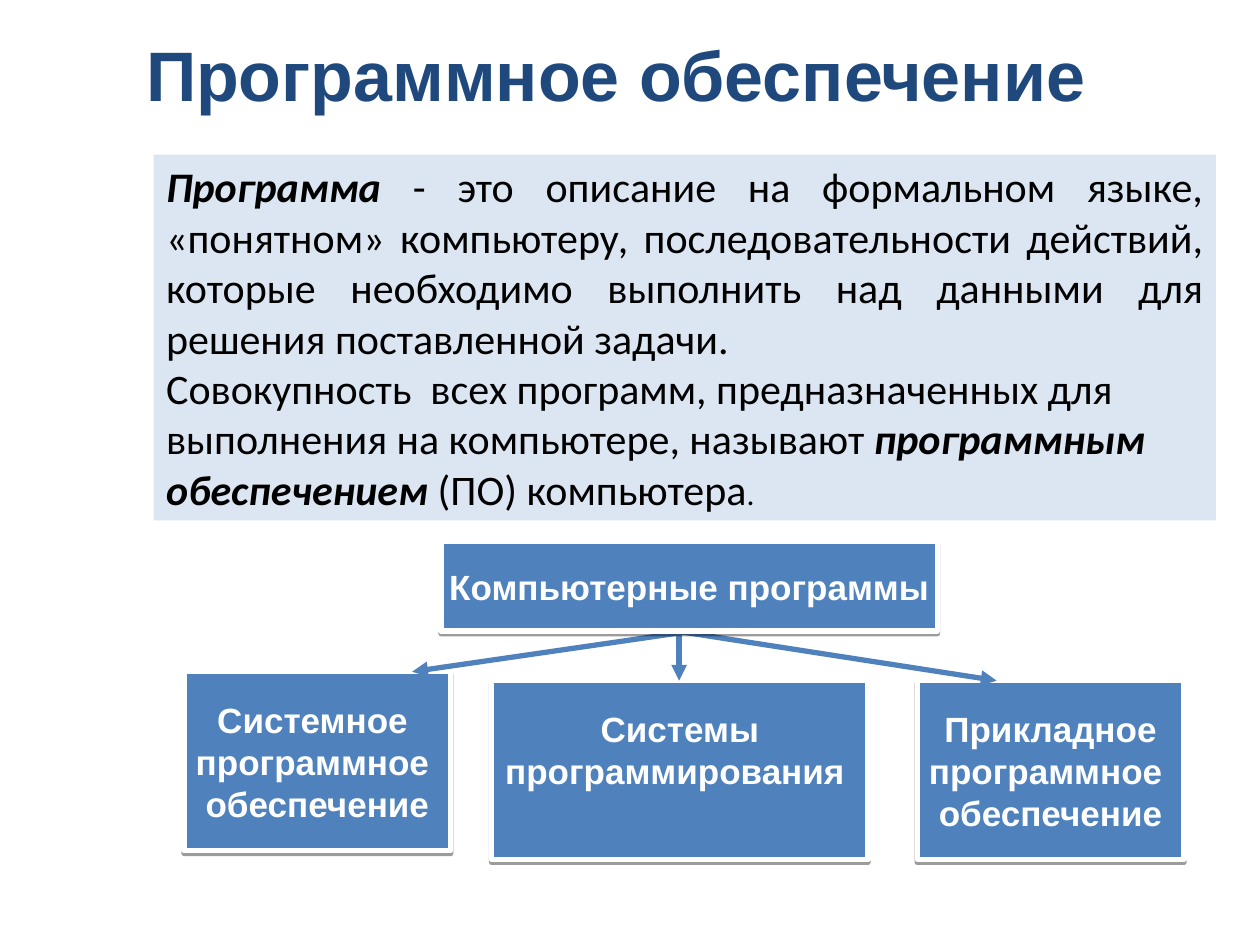
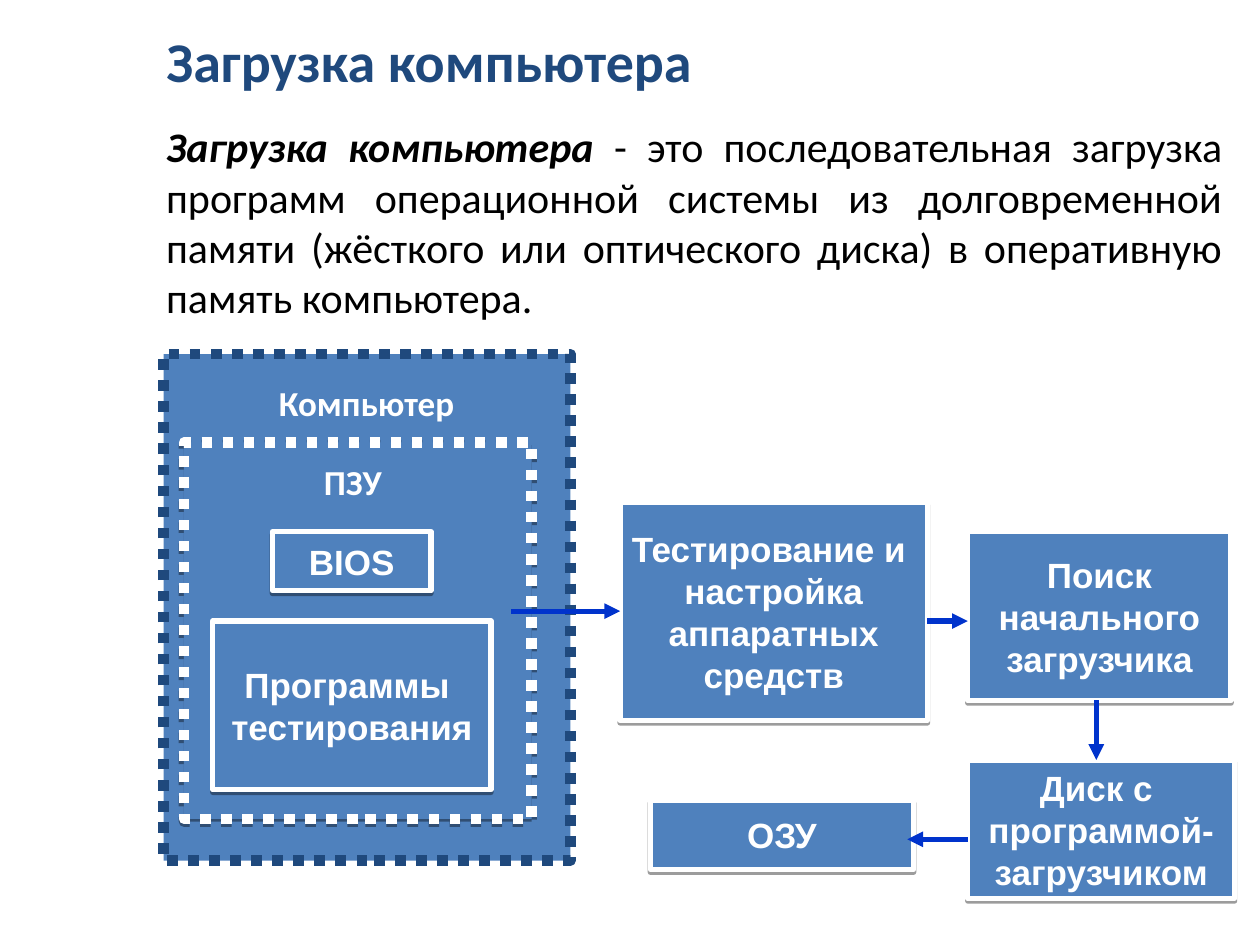
"""Build two slides on computer software and on how a computer starts."""
import pptx
import pptx.dml.color
import pptx.enum.dml
import pptx.enum.shapes
import pptx.enum.text
import pptx.oxml
import pptx.oxml.ns
import pptx.util
from lxml import etree

Cm = pptx.util.Cm
Pt = pptx.util.Pt
rgb = pptx.dml.color.RGBColor.from_string
qn = pptx.oxml.ns.qn
Align = pptx.enum.text.PP_ALIGN
Anchor = pptx.enum.text.MSO_ANCHOR
Kind = pptx.enum.shapes.MSO_SHAPE
Link = pptx.enum.shapes.MSO_CONNECTOR
Dash = pptx.enum.dml.MSO_LINE


class Theme:
    """Colours, fonts and type sizes."""
    navy = "1F497D"
    blue = "4F81BD"
    pale = "DCE6F2"
    arrow = "0033CC"
    white = "FFFFFF"
    black = "000000"
    sans = "Arial"
    text = "Calibri"
    big = 40
    head = 32
    body = 24
    node = 20
    small = 18
    thin = 3
    thick = 6


TERM = {"bold": True, "italic": True}


def dress(item, form):
    """Set each format value on the item."""
    for key, value in form.items():
        setattr(item, key, value)


def font(name, size, **more):
    """Return the format values of a font."""
    return {"name": name, "size": Pt(size), **more}


class Deck:
    """Hold the style, the file and the current slide."""

    def __init__(self, theme):
        self.theme = theme
        self.file = pptx.Presentation()
        dress(self.file, {"slide_width": Cm(25.4), "slide_height": Cm(19.05)})
        self.slide = None

    def start(self, text, box, name, size):
        """Add a slide and set its title."""
        self.slide = self.file.slides.add_slide(self.file.slide_layouts[5])
        title = self.slide.shapes.title
        sides = ("left", "top", "width", "height")
        dress(title, dict(zip(sides, map(Cm, box))))
        self.fill(title, [[(text, {})]], font(name, size, bold=True), self.theme.navy,
                  [{"alignment": Align.LEFT, "line_spacing": 0.8}],
                  vertical_anchor=Anchor.MIDDLE)

    def fill(self, shape, rows, base, ink, forms, **frame):
        """Fill a shape with rows of runs, the last form serving all later rows."""
        body = shape.text_frame
        dress(body, {"word_wrap": True, "auto_size": pptx.enum.text.MSO_AUTO_SIZE.NONE, **frame})
        for num, row in enumerate(rows):
            para = body.add_paragraph() if num else body.paragraphs[0]
            dress(para, forms[min(num, len(forms) - 1)])
            for text, extra in row:
                run = para.add_run()
                run.text = text
                dress(run.font, {**base, **extra})
                run.font.color.rgb = rgb(ink)

    def rect(self, box, fill, line=None, width=0, dash=None, shade=False):
        """Draw a rectangle with an optional outline and shadow."""
        shape = self.slide.shapes.add_shape(Kind.RECTANGLE, *map(Cm, box))
        shape.fill.solid()
        shape.fill.fore_color.rgb = rgb(fill)
        if line:
            shape.line.color.rgb = rgb(line)
            dress(shape.line, {"width": Pt(width), "dash_style": dash})
        else:
            shape.line.fill.background()
        shape.shadow.inherit = False
        if shade:
            glow = shape.element.spPr.find(qn("a:effectLst"))
            drop = etree.SubElement(glow, qn("a:outerShdw"), blurRad="0", dist=str(Pt(1.6)),
                                    dir="5400000", rotWithShape="0")
            tint = etree.SubElement(drop, qn("a:srgbClr"), val=self.theme.black)
            etree.SubElement(tint, qn("a:alpha"), val="38000")
        return shape

    def label(self, shape, text, name, **frame):
        """Centre bold white lines in a shape."""
        rows = [[(line, {})] for line in text.split("\n")]
        self.fill(shape, rows, font(name, self.theme.node, bold=True), self.theme.white,
                  [{"alignment": Align.CENTER}],
                  **{"word_wrap": False, "vertical_anchor": Anchor.MIDDLE, **frame})

    def node(self, text, box, **frame):
        """Draw a framed box with its text."""
        shape = self.rect(box, self.theme.blue, self.theme.white, self.theme.thin, shade=True)
        self.label(shape, text, self.theme.sans, **frame)

    def tag(self, text, box):
        """Draw a plain caption band."""
        self.label(self.rect(box, self.theme.blue), text, self.theme.text)

    def prose(self, rows, box, fill=None):
        """Set a definition, its first paragraph justified."""
        if fill:
            shape = self.rect(box, fill)
        else:
            shape = self.slide.shapes.add_textbox(*map(Cm, box))
        self.fill(shape, rows, font(self.theme.text, self.theme.body), self.theme.black,
                  [{"alignment": Align.JUSTIFY}, {"alignment": Align.LEFT}],
                  vertical_anchor=Anchor.TOP)

    def arrow(self, start, end, ink):
        """Draw an arrow that points to its end."""
        line = self.slide.shapes.add_connector(Link.STRAIGHT, *map(Cm, start + end))
        line.line.color.rgb = rgb(ink)
        line.line.width = Pt(self.theme.thin)
        props = line.element.spPr
        etree.SubElement(props.find(qn("a:ln")), qn("a:tailEnd"), type="triangle")
        etree.SubElement(props, qn("a:effectLst"))


def soft(deck):
    """Build the slide on kinds of software."""
    theme = deck.theme
    deck.start("Программное обеспечение", (2.69, 0.53, 21.21, 2.21), theme.sans, theme.big)
    deck.prose([
        [("Программа", TERM),
         (" - это описание на формальном языке, «понятном» компьютеру, последовательности "
          "действий, которые необходимо выполнить над данными для решения поставленной "
          "задачи. ", {})],
        [("Совокупность  всех программ, предназначенных для выполнения на компьютере, "
          "называют ", {}),
         ("программным обеспечением", TERM),
         (" (ПО) компьютера", {}),
         (".", {"size": Pt(theme.small)})],
    ], (3.1, 3.12, 21.41, 7.37), theme.pale)
    high = 3.61
    deck.node("Прикладное\nпрограммное \nобеспечение", (18.49, 13.72, 5.38, high))
    deck.node("Системное \nпрограммное \nобеспечение", (3.71, 13.54, 5.38, high))
    deck.node("Системы\nпрограммирования ", (9.91, 13.72, 7.59, high), margin_bottom=Cm(0.94))
    root = 12.73
    for start, end in (((13.89, root), (8.31, 13.54)),
                       ((13.69, root), (20.09, 13.72)),
                       ((13.69, root), (13.69, 13.72))):
        deck.arrow(start, end, theme.blue)
    deck.node("Компьютерные программы", (8.89, 10.92, 10.01, 1.8))


def boot(deck):
    """Build the slide on the start of a computer."""
    theme = deck.theme
    deck.start("Загрузка компьютера", (3.1, 0.53, 21.21, 1.6), theme.text, theme.head)
    deck.prose([
        [("Загрузка компьютера", TERM),
         (" - это последовательная загрузка программ операционной системы из долговременной "
          "памяти (жёсткого или оптического диска) в оперативную память компьютера.", {})],
    ], (3.1, 2.31, 21.79, 4.32))
    dots = {"width": theme.thick, "dash": Dash.ROUND_DOT}
    deck.rect((3.3, 7.14, 8.2, 10.21), theme.blue, theme.navy, **dots)
    deck.tag("Компьютер", (4.09, 7.52, 6.6, 1.19))
    deck.rect((3.71, 8.92, 7.01, 7.59), theme.blue, theme.white, shade=True, **dots)
    deck.tag("ПЗУ", (5.31, 9.12, 3.61, 1.19))
    for text, box in (
        ("BIOS", (5.49, 10.72, 3.2, 1.19)),
        ("Программы \nтестирования", (4.29, 12.52, 5.61, 3.4)),
        ("Тестирование и \nнастройка\nаппаратных\nсредств", (12.5, 10.13, 6.2, 4.39)),
        ("Поиск\nначального\nзагрузчика", (19.51, 10.72, 5.31, 3.4)),
        ("Диск с \nпрограммой-\nзагрузчиком", (19.51, 15.32, 5.38, 2.79)),
        ("ОЗУ", (13.11, 16.13, 5.31, 1.4)),
    ):
        deck.node(text, box)
    for start, end in (((10.31, 12.32), (12.5, 12.32)),
                       ((18.69, 12.52), (19.51, 12.52)),
                       ((22.1, 14.12), (22.1, 15.32)),
                       ((19.51, 16.92), (18.29, 16.92))):
        deck.arrow(start, end, theme.arrow)


def main():
    """Build and save the deck."""
    deck = Deck(Theme())
    soft(deck)
    boot(deck)
    deck.file.save("out.pptx")


if __name__ == "__main__":
    main()
